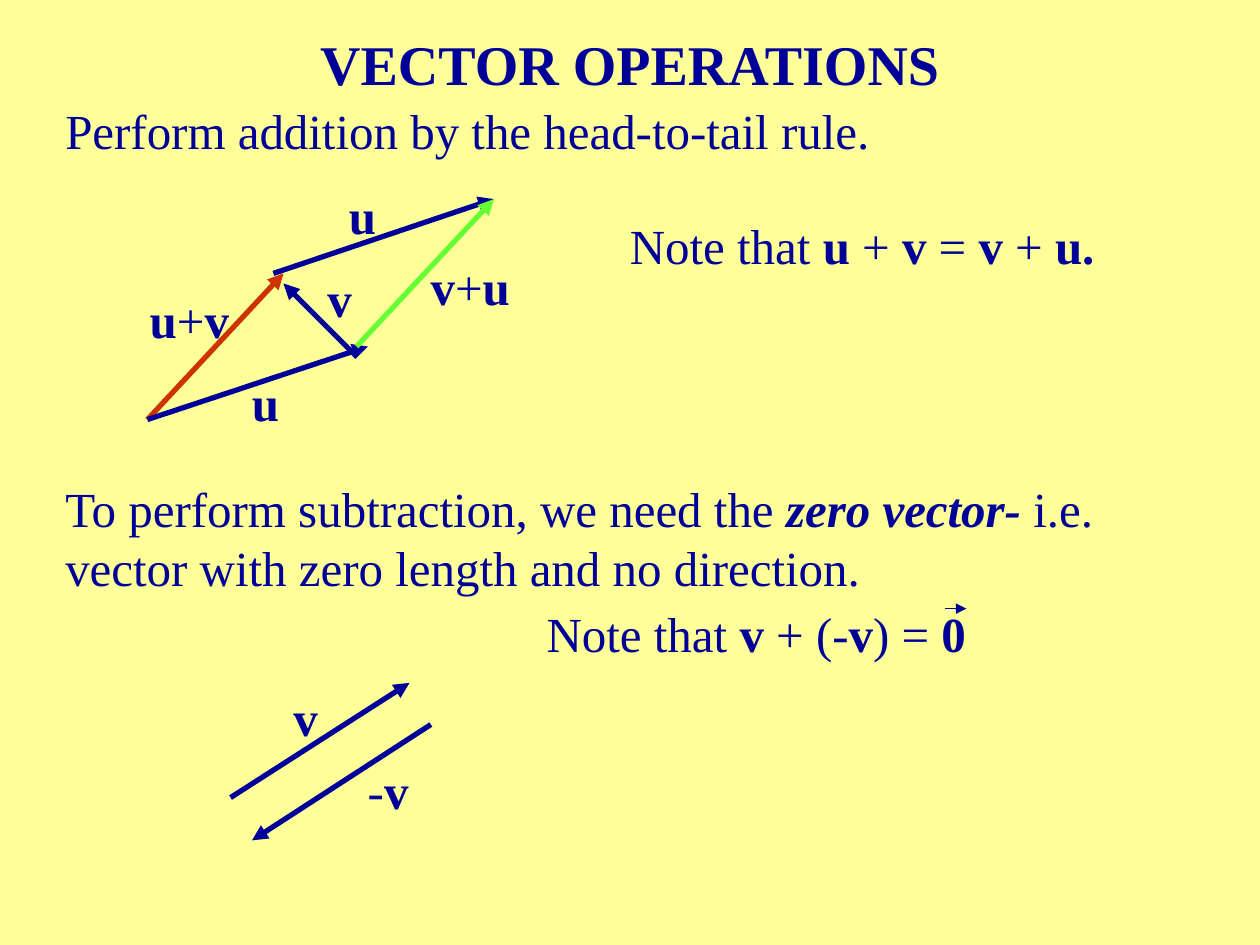
from dataclasses import dataclass

from lxml import etree
from pptx import Presentation
from pptx.dml.color import RGBColor
from pptx.enum.shapes import MSO_CONNECTOR
from pptx.enum.text import MSO_ANCHOR, PP_ALIGN
from pptx.oxml.ns import qn
from pptx.util import Inches, Pt

STRAIGHT = MSO_CONNECTOR.STRAIGHT
TOP, MIDDLE = MSO_ANCHOR.TOP, MSO_ANCHOR.MIDDLE
LEFT, CENTER = PP_ALIGN.LEFT, PP_ALIGN.CENTER
PLAIN, BOLD, BOLD_ITALIC = (False, False), (True, False), (True, True)


@dataclass(frozen=True)
class Theme:
    font: str = "Times New Roman"
    background: RGBColor = RGBColor(0xFF, 0xFF, 0x99)
    ink: RGBColor = RGBColor(0x00, 0x00, 0x99)
    sum_uv: RGBColor = RGBColor(0xCC, 0x33, 0x00)
    sum_vu: RGBColor = RGBColor(0x66, 0xFF, 0x33)
    title_size: int = 32
    body_size: int = 28
    vector_width: float = 3
    accent_width: float = 0.75


THEME = Theme()
LINE_HEIGHT = 0.57


def add_text(slide, box, runs, size=THEME.body_size, wrap=False,
             align=LEFT, anchor=TOP):
    """Add one paragraph made of (text, (bold, italic)) runs."""
    frame = slide.shapes.add_textbox(*map(Inches, box)).text_frame
    frame.word_wrap = wrap
    frame.vertical_anchor = anchor
    paragraph = frame.paragraphs[0]
    paragraph.alignment = align
    for text, (bold, italic) in runs:
        run = paragraph.add_run()
        run.text = text
        font = run.font
        font.name, font.size = THEME.font, Pt(size)
        font.bold, font.italic = bold, italic
        font.color.rgb = THEME.ink


def add_vector(slide, start, end, color=THEME.ink, width=THEME.vector_width):
    """Add a line with its arrowhead at end."""
    vector = slide.shapes.add_connector(STRAIGHT, *map(Inches, start + end))
    vector.line.color.rgb = color
    vector.line.width = Pt(width)
    etree.SubElement(vector.line._get_or_add_ln(), qn("a:tailEnd"), type="triangle")
    etree.SubElement(vector._element.spPr, qn("a:effectLst"))


def add_statements(slide):
    add_text(slide, (0.75, 0.25, 8.5, 0.5), [("VECTOR OPERATIONS", BOLD)],
             THEME.title_size, True, CENTER, MIDDLE)
    add_text(slide, (0.42, 0.75, 8.5, LINE_HEIGHT),
             [("Perform addition by the head-to-tail rule.", PLAIN)], wrap=True)
    add_text(slide, (4.9, 1.66, 4.18, LINE_HEIGHT), [
        ("Note that ", PLAIN), ("u", BOLD), (" + ", PLAIN), ("v", BOLD),
        (" = ", PLAIN), ("v", BOLD), (" + ", PLAIN), ("u.", BOLD)])
    add_text(slide, (0.42, 3.75, 8.67, 1.04), [
        ("To perform subtraction, we need the ", PLAIN),
        ("zero vector- ", BOLD_ITALIC),
        ("i.e. vector with zero length and no direction.", PLAIN)], wrap=True)
    add_text(slide, (4.24, 4.74, 3.53, LINE_HEIGHT), [
        ("Note that ", PLAIN), ("v", BOLD), (" + (-", PLAIN), ("v", BOLD),
        (") = ", PLAIN), ("0", BOLD)])
    add_vector(slide, (7.5, 4.83), (7.67, 4.83), width=THEME.accent_width)


def add_labels(slide, labels):
    for left, top, width, runs in labels:
        add_text(slide, (left, top, width, LINE_HEIGHT), runs)


def add_addition_diagram(slide):
    origin, far_corner = (1.17, 3.33), (3.92, 1.58)
    add_vector(slide, (2.83, 2.83), (2.25, 2.25))
    add_vector(slide, origin, (2.25, 2.17), THEME.sum_uv)
    add_vector(slide, origin, (2.92, 2.75))
    add_vector(slide, (2.17, 2.17), far_corner)
    add_vector(slide, (2.83, 2.75), far_corner, THEME.sum_vu)
    u, plus, v = ("u", BOLD), ("+", PLAIN), ("v", BOLD)
    add_labels(slide, [
        (1.9, 2.91, 0.41, [u]),
        (2.5, 2.08, 0.4, [v]),
        (1.09, 2.25, 0.83, [u, plus, v]),
        (2.67, 1.42, 0.41, [u]),
        (3.32, 1.99, 0.83, [v, plus, u]),
    ])


def add_subtraction_diagram(slide):
    add_vector(slide, (1.83, 6.33), (3.25, 5.42))
    add_vector(slide, (3.42, 5.75), (2, 6.67))
    add_labels(slide, [
        (2.23, 5.41, 0.39, [("v", BOLD)]),
        (2.82, 5.99, 0.52, [("-", PLAIN), ("v", BOLD)]),
    ])


def main():
    deck = Presentation()
    deck.slide_width, deck.slide_height = Inches(10), Inches(7.5)
    slide = deck.slides.add_slide(deck.slide_layouts[6])
    fill = slide.background.fill
    fill.solid()
    fill.fore_color.rgb = THEME.background
    add_statements(slide)
    add_addition_diagram(slide)
    add_subtraction_diagram(slide)
    deck.save("out.pptx")


if __name__ == "__main__":
    main()
